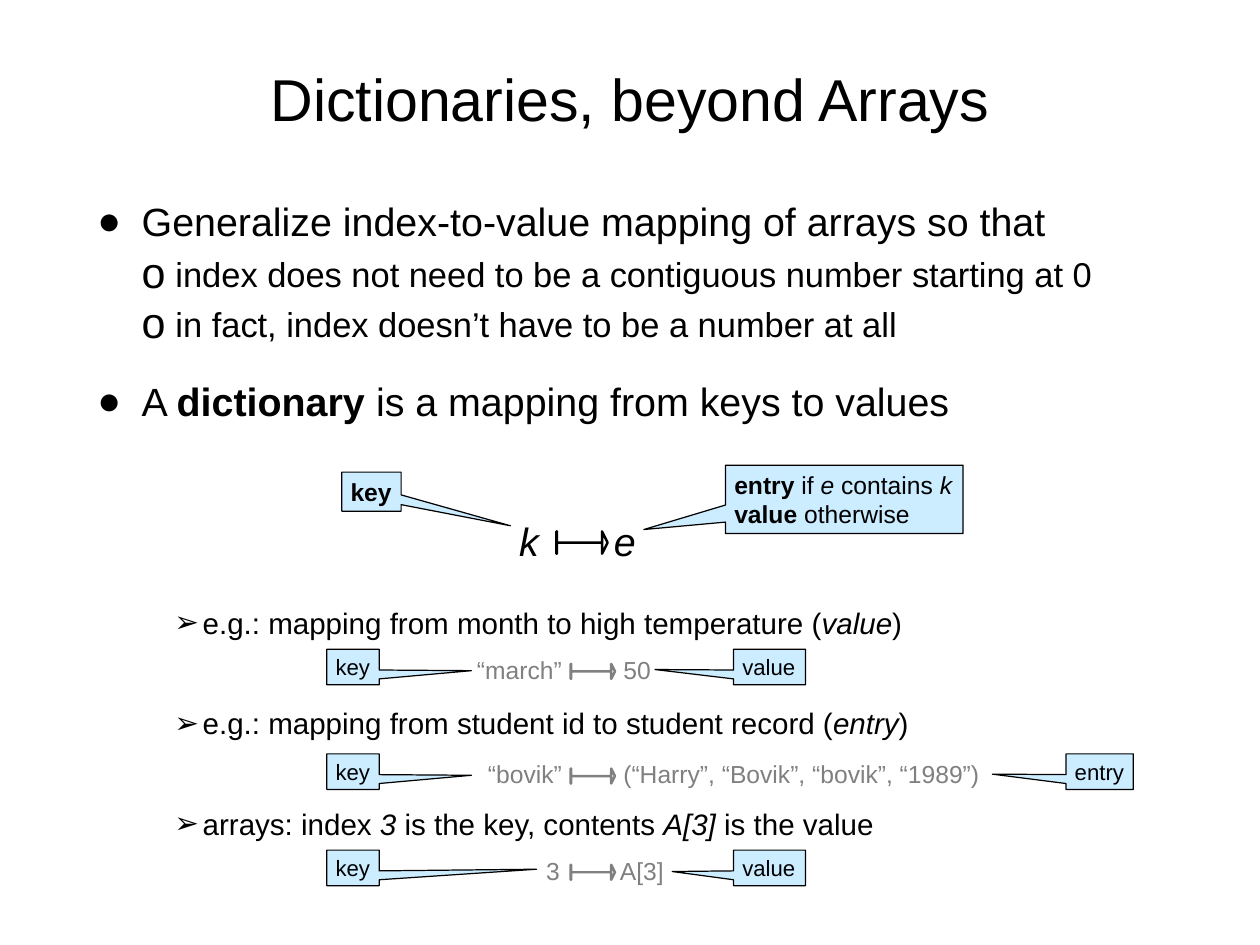
from lxml.etree import SubElement
from pptx import Presentation
from pptx.dml.color import RGBColor
from pptx.enum.shapes import MSO_SHAPE as Shape
from pptx.enum.text import MSO_ANCHOR as Anchor, MSO_AUTO_SIZE as AutoSize, PP_ALIGN as Align
from pptx.oxml.ns import qn
from pptx.util import Cm, Pt

BLACK, GRAY, SKY = "000000", "808080", "CCECFF"

# Level: indent and hanging width (cm), text size, bullet, bullet size (%)
LEVELS = {
    0: (1.27, 1.27, 32, "●", 100),
    1: (2.24, 0.97, 28, "o", 125),
    2: (3.02, 0.81, 24, "➢", 100),
}

# Level, space before (pt), pieces; a pair carries its style
OUTLINE = [
    (0, 0, ["Generalize index-to-value mapping of arrays so that"]),
    (1, 7, ["index does not need to be a contiguous number starting at 0"]),
    (1, 7, ["in fact, index doesn’t have to be a number at all"]),
    (0, 26.6, ["A ", ("dictionary", "bold"), " is a mapping from keys to values"]),
    (2, 146.6, ["e.g.: mapping from month to high temperature (", ("value", "italic"), ")"]),
    (2, 52.9, ["e.g.: mapping from student id to student record (", ("entry", "italic"), ")"]),
    (2, 52.9, ["arrays: index ", ("3", "italic"), " is the key, contents ",
               ("A[3]", "italic"), " is the value"]),
]

# Top, key text and its right edge, result text and its left edge,
# key tail, result callout: text, left, width, tail
EXAMPLES = [
    (18.62, "“march”", 16.11, "50", 17.87, (2.264, 0.102),
     "value", 21.03, 2.06, (-1.595, 0.07)),
    (21.62, "“bovik”", 16.11, "(“Harry”, “Bovik”, “bovik”, “1989”)", 17.87, (2.264, 0.102),
     "entry", 30.56, 1.93, (-1.595, 0.07)),
    (24.38, "3", 16.05, "A[3]", 17.77, (3.509, 0.038),
     "value", 21.03, 2.06, (-1.353, 0.102)),
]


def color(hex_value):
    return RGBColor.from_string(hex_value)


def write(paragraph, text, size=20, ink=BLACK, style=""):
    run = paragraph.add_run()
    run.text = text
    font = run.font
    font.name, font.size = "Arial", Pt(size)
    font.bold, font.italic = style == "bold", style == "italic"
    font.color.rgb = color(ink)


def write_pieces(paragraph, pieces, size):
    for piece in pieces:
        text, style = (piece, "") if isinstance(piece, str) else piece
        write(paragraph, text, size=size, style=style)


def place(item, left, top, width, height):
    item.left, item.top, item.width, item.height = Cm(left), Cm(top), Cm(width), Cm(height)


def set_frame(frame, inset, anchor, wrap=True):
    frame.auto_size = AutoSize.NONE
    frame.word_wrap = wrap
    frame.vertical_anchor = anchor
    frame.margin_left = frame.margin_right = Cm(inset)
    frame.margin_top = frame.margin_bottom = Cm(min(inset, 0.15))


def add_bullet(paragraph, indent, hanging, char, percent):
    props = paragraph._p.get_or_add_pPr()
    props.set("marL", str(Cm(indent)))
    props.set("indent", str(-Cm(hanging)))
    SubElement(props, qn("a:buSzPct"), val=str(percent * 1000))
    SubElement(props, qn("a:buChar"), char=char)


def fill_outline(body):
    frame = body.text_frame
    set_frame(frame, 0.15, Anchor.TOP)
    for number, (level, space, pieces) in enumerate(OUTLINE):
        paragraph = frame.add_paragraph() if number else frame.paragraphs[0]
        indent, hanging, size, char, percent = LEVELS[level]
        paragraph.level = level
        paragraph.space_before = Pt(space)
        add_bullet(paragraph, indent, hanging, char, percent)
        write_pieces(paragraph, pieces, size)


def add_outlined(slide, preset, box, ink, width, adjustments):
    shape = slide.shapes.add_shape(preset, *map(Cm, box))
    shape.shadow.inherit = False
    shape.line.color.rgb = color(ink)
    shape.line.width = Pt(width)
    for number, value in enumerate(adjustments):
        shape.adjustments[number] = value
    return shape


def add_callout(slide, box, tail, lines, size):
    callout = add_outlined(slide, Shape.RECTANGULAR_CALLOUT, box, BLACK, 1, tail)
    callout.fill.solid()
    callout.fill.fore_color.rgb = color(SKY)
    frame = callout.text_frame
    set_frame(frame, 0.25, Anchor.MIDDLE, wrap=False)
    for number, pieces in enumerate(lines):
        paragraph = frame.add_paragraph() if number else frame.paragraphs[0]
        paragraph.alignment = Align.LEFT
        write_pieces(paragraph, pieces, size)


def add_term(slide, text, left, middle, width, align, size, ink, style):
    height = 1.4
    term = slide.shapes.add_textbox(Cm(left), Cm(middle - height / 2), Cm(width), Cm(height))
    set_frame(term.text_frame, 0, Anchor.MIDDLE)
    paragraph = term.text_frame.paragraphs[0]
    paragraph.alignment = align
    write(paragraph, text, size=size, ink=ink, style=style)


def add_mapping(slide, arrow, key, key_right, result, result_left, size=20, ink=GRAY, style=""):
    maps_to = add_outlined(slide, Shape.RIGHT_ARROW_CALLOUT, arrow, ink, 2, (0, 0.5, 0.25, 0.012))
    maps_to.fill.background()
    middle = arrow[1] + arrow[3] / 2 - 0.06
    key_width, result_width = 4, 12
    add_term(slide, key, key_right - key_width, middle, key_width, Align.RIGHT, size, ink, style)
    add_term(slide, result, result_left, middle, result_width, Align.LEFT, size, ink, style)


def main():
    deck = Presentation()
    deck.slide_width, deck.slide_height = Cm(36.12), Cm(27.1)
    slide = deck.slides.add_slide(deck.slide_layouts[1])

    # Title and outline
    title, body = slide.placeholders
    place(title, 2.64, 0.71, 30.84, 4.17)
    set_frame(title.text_frame, 0.15, Anchor.MIDDLE)
    title.text_frame.paragraphs[0].alignment = Align.CENTER
    write(title.text_frame.paragraphs[0], "Dictionaries, beyond Arrays", size=48)
    place(body, 2.64, 5.51, 30.84, 19.15)
    fill_outline(body)

    # General mapping from key to entry
    add_mapping(slide, (15.95, 15.24, 1.47, 0.64), "k", 15.45, "e", 17.6,
                size=32, ink=BLACK, style="italic")
    add_callout(slide, (9.8, 13.54, 1.7, 1.12), (2.343, 0.874), [[("key", "bold")]], 20)
    add_callout(slide, (20.8, 13.34, 6.81, 1.96), (-0.844, 0.442), [
        [("entry", "bold"), " if ", ("e", "italic"), " contains ", ("k", "italic")],
        [("value", "bold"), " otherwise"],
    ], 20)

    # Example mappings
    for (top, key, key_right, result, result_left, key_tail,
         role, role_left, role_width, role_tail) in EXAMPLES:
        add_mapping(slide, (16.36, top + 0.42, 1.27, 0.43), key, key_right, result, result_left)
        add_callout(slide, (9.37, top, 1.5, 1.02), key_tail, [["key"]], 18)
        add_callout(slide, (role_left, top, role_width, 1.02), role_tail, [[role]], 18)

    deck.save("out.pptx")


if __name__ == "__main__":
    main()
